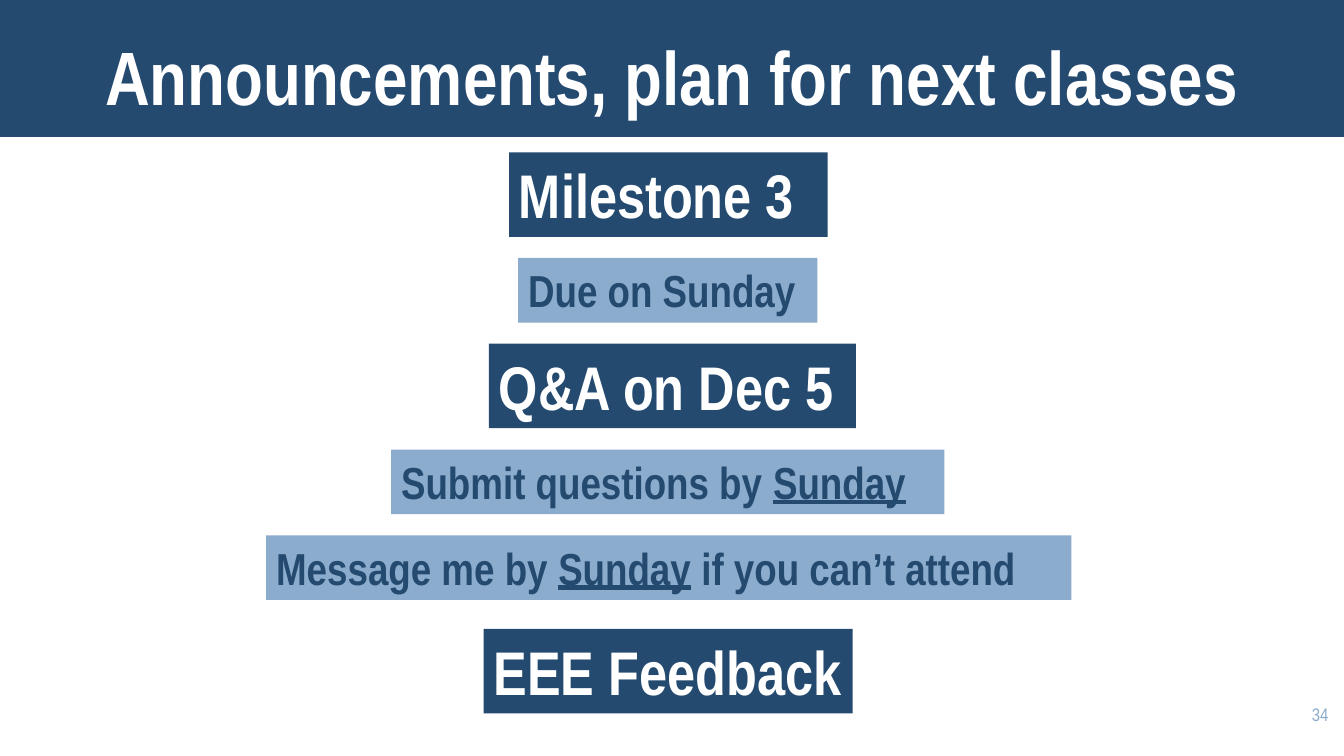
from pptx import Presentation
from pptx.enum.shapes import MSO_SHAPE as Preset
from pptx.enum.text import MSO_ANCHOR as Anchor, MSO_AUTO_SIZE as AutoSize, PP_ALIGN as Align
from pptx.dml.color import RGBColor
from pptx.util import Cm, Pt

COLORS = {"navy": "244A70", "sky": "8BACCC", "white": "FFFFFF"}
SLIDE_WIDTH, SLIDE_HEIGHT = 33.87, 19.05


def add_rect(left, top, width, height, color):
    rect = slide.shapes.add_shape(Preset.RECTANGLE, Cm(left), Cm(top), Cm(width), Cm(height))
    rect.shadow.inherit = False
    rect.fill.solid()
    rect.fill.fore_color.rgb = RGBColor.from_string(COLORS[color])
    rect.line.fill.background()
    return rect


def add_run(paragraph, text, size, color, bold=True, underline=False):
    run = paragraph.add_run()
    run.text = text
    run.font.name = "Arial Narrow"
    run.font.size = Pt(size)
    run.font.bold = bold
    run.font.underline = underline
    run.font.color.rgb = RGBColor.from_string(COLORS[color])


deck = Presentation()
deck.slide_width, deck.slide_height = Cm(SLIDE_WIDTH), Cm(SLIDE_HEIGHT)
slide = deck.slides.add_slide(deck.slide_layouts[5])

# Title on its band, with the band sent behind
title = slide.shapes.title
band = add_rect(0, 0, SLIDE_WIDTH, 3.45, "navy")
title._element.addprevious(band._element)
title.left, title.top = Cm(0), Cm(-0.28)
title.width, title.height = Cm(SLIDE_WIDTH), Cm(3.45)
heading = title.text_frame
heading.auto_size = AutoSize.NONE
heading.vertical_anchor = Anchor.BOTTOM
heading.paragraphs[0].alignment = Align.CENTER
add_run(heading.paragraphs[0], "Announcements, plan for next classes", 54, "white")

# Topics and their details: height, fill, text size, text colour
STYLES = {
    "topic": (2.13, "navy", 44, "white"),
    "detail": (1.63, "sky", 32, "navy"),
}
# Style, left, top, width, then the text pieces; every second piece is underlined
announcements = [
    ("topic", 12.83, 3.84, 8.03, ["Milestone 3"]),
    ("detail", 13.06, 6.5, 7.54, ["Due on Sunday"]),
    ("topic", 12.32, 8.66, 9.25, ["Q&A on Dec 5"]),
    ("detail", 9.86, 11.33, 13.94, ["Submit questions by ", "Sunday"]),
    ("detail", 6.71, 13.49, 20.29, ["Message me by ", "Sunday", " if you can’t attend"]),
    ("topic", 12.19, 15.85, 9.3, ["EEE Feedback"]),
]
for style, left, top, width, pieces in announcements:
    height, fill, size, color = STYLES[style]
    label = add_rect(left, top, width, height, fill).text_frame
    label.word_wrap = True
    label.margin_right = 0
    label.vertical_anchor = Anchor.TOP
    line = label.paragraphs[0]
    line.alignment = Align.LEFT
    for position, piece in enumerate(pieces):
        add_run(line, piece, size, color, underline=position % 2 == 1)

# Slide number
page = slide.shapes.add_textbox(Cm(31.7), Cm(17.6), Cm(2.03), Cm(1.45)).text_frame
page.word_wrap = True
page.paragraphs[0].alignment = Align.RIGHT
add_run(page.paragraphs[0], "34", 13, "sky", bold=False)

deck.save("out.pptx")
